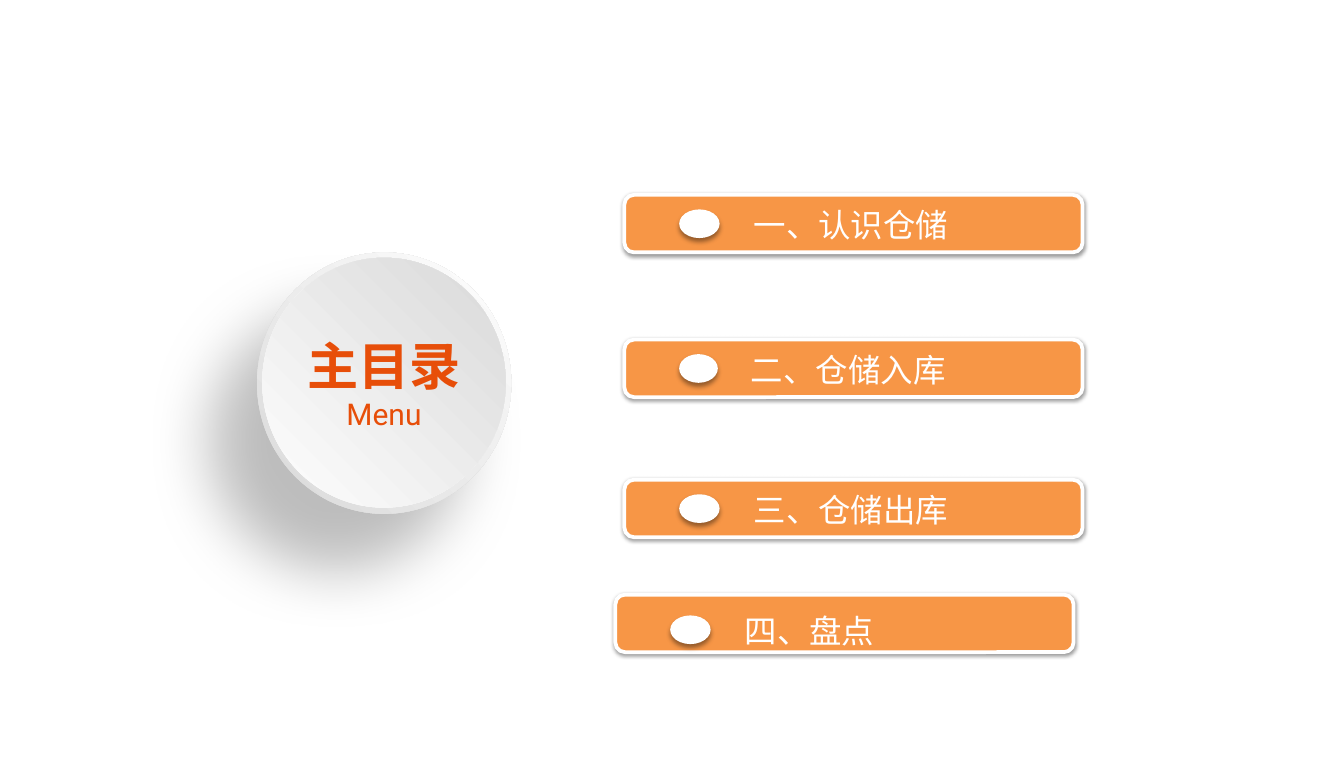
from dataclasses import dataclass

from lxml import etree
from pptx import Presentation
from pptx.dml.color import RGBColor
from pptx.enum.shapes import MSO_SHAPE
from pptx.enum.text import MSO_ANCHOR, PP_ALIGN
from pptx.oxml.ns import qn
from pptx.util import Pt

ELLIPSE = MSO_SHAPE.OVAL
ROUNDED = MSO_SHAPE.ROUNDED_RECTANGLE
MIDDLE = MSO_ANCHOR.MIDDLE
CENTER = PP_ALIGN.CENTER


@dataclass(frozen=True)
class Theme:
    white: str = "FFFFFF"
    orange: str = "F79646"
    title_color: str = "E74E09"
    shadow_color: str = "000000"
    light_gray: str = "D9D9D9"
    near_white: str = "FEFEFE"
    latin_font: str = "Roboto"
    chinese_font: str = "Noto Sans CJK SC"
    title_size: int = 41
    subtitle_size: int = 24
    label_size: int = 26
    disc_shadow: tuple = (25, 50, 60, 130)
    bar_shadow: tuple = (38, 3.15, 1.57, 90)
    dot_shadow: tuple = (40, 4, 3, 90)


class MenuSlide:
    def __init__(self, slide, theme):
        self.slide = slide
        self.theme = theme

    def add_shape(self, kind, box, color=None, shadow=None):
        shape = self.slide.shapes.add_shape(kind, *map(Pt, box))
        shape.line.fill.background()
        if color:
            shape.fill.solid()
            shape.fill.fore_color.rgb = RGBColor.from_string(color)
        shape.shadow.inherit = False
        if shadow:
            self.cast_shadow(shape, *shadow)
        return shape

    def cast_shadow(self, shape, opacity, blur, distance, angle):
        effects = shape._element.spPr.find(qn("a:effectLst"))
        outer = etree.SubElement(
            effects, qn("a:outerShdw"), blurRad=str(Pt(blur)), dist=str(Pt(distance)),
            dir=str(angle * 60000), algn="ctr", rotWithShape="0")
        color = etree.SubElement(outer, qn("a:srgbClr"), val=self.theme.shadow_color)
        etree.SubElement(color, qn("a:alpha"), val=str(opacity * 1000))

    def add_disc(self, box, colors, shadow=None):
        shape = self.add_shape(ELLIPSE, box, shadow=shadow)
        shape.fill.gradient()
        for stop, color in zip(shape.fill.gradient_stops, colors):
            stop.color.rgb = RGBColor.from_string(color)
        gradient = shape._element.spPr.find(qn("a:gradFill"))
        gradient.remove(gradient.find(qn("a:lin")))
        radial = etree.SubElement(gradient, qn("a:path"), path="circle")
        etree.SubElement(radial, qn("a:fillToRect"), l="100000", b="100000")
        return shape

    def style_text(self, paragraph, text, font_name, size, color, bold=False):
        paragraph.text = text
        font = paragraph.font
        font.name = font_name
        font.size = Pt(size)
        font.bold = bold
        font.color.rgb = RGBColor.from_string(color)
        for run in paragraph.runs:
            etree.SubElement(run._r.get_or_add_rPr(), qn("a:ea"),
                             typeface=self.theme.chinese_font)

    def add_title_disc(self, title, subtitle):
        theme = self.theme
        self.add_disc((206, 202.3, 203.8, 209.5),
                      (theme.white, theme.light_gray), theme.disc_shadow)
        face = self.add_disc((210.2, 206.6, 195.1, 200.2),
                             (theme.light_gray, theme.near_white))
        frame = face.text_frame
        frame.word_wrap = True
        frame.vertical_anchor = MIDDLE
        frame.margin_left = frame.margin_right = 0
        lines = ((title, theme.title_size, True), (subtitle, theme.subtitle_size, False))
        for index, (text, size, bold) in enumerate(lines):
            paragraph = frame.add_paragraph() if index else frame.paragraphs[0]
            paragraph.alignment = CENTER
            self.style_text(paragraph, text, theme.latin_font, size,
                            theme.title_color, bold)

    def add_label(self, text, box):
        frame = self.slide.shapes.add_textbox(*map(Pt, box)).text_frame
        frame.word_wrap = True
        self.style_text(frame.paragraphs[0], text, self.theme.chinese_font,
                        self.theme.label_size, self.theme.white)

    def add_menu_bar(self, text, left, top, drop, dot_width, label_indent):
        theme = self.theme
        bar = self.add_shape(ROUNDED, (left, top, 367.2, 46.1),
                             theme.orange, theme.bar_shadow)
        bar.line.color.rgb = RGBColor.from_string(theme.white)
        bar.line.width = Pt(3)
        self.add_label(text, (left + label_indent, top + drop, 270, 38.9))
        self.add_shape(ELLIPSE, (left + 43.9, top + drop + 6.6, dot_width, 23),
                       theme.white, theme.dot_shadow)


def main():
    presentation = Presentation()
    presentation.slide_width = Pt(1077.12)
    presentation.slide_height = Pt(623.52)
    slide = presentation.slides.add_slide(presentation.slide_layouts[6])
    menu = MenuSlide(slide, Theme())
    menu.add_title_disc("主目录", "Menu")
    bars = (
        ("一、认识仓储", 500.4, 156.2, 5, 32.4, 96.5),
        ("二、仓储入库", 500.4, 272.2, 5, 31, 94.3),
        ("三、仓储出库", 500.4, 384.5, 5, 32.4, 96.5),
        ("四、盘点", 493.2, 476.6, 10, 32.4, 96.5),
    )
    for bar in bars:
        menu.add_menu_bar(*bar)
    presentation.save("out.pptx")


if __name__ == "__main__":
    main()
